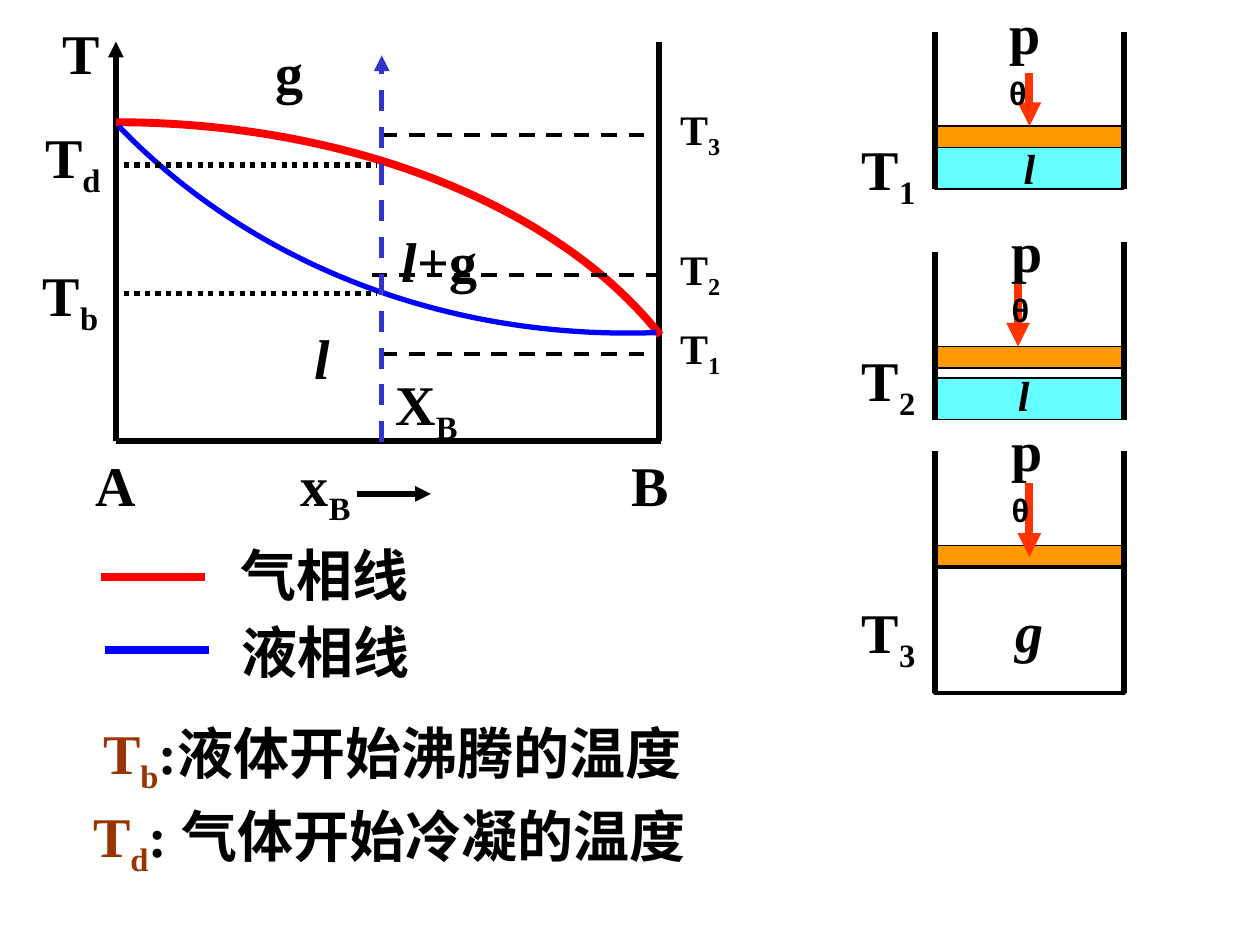
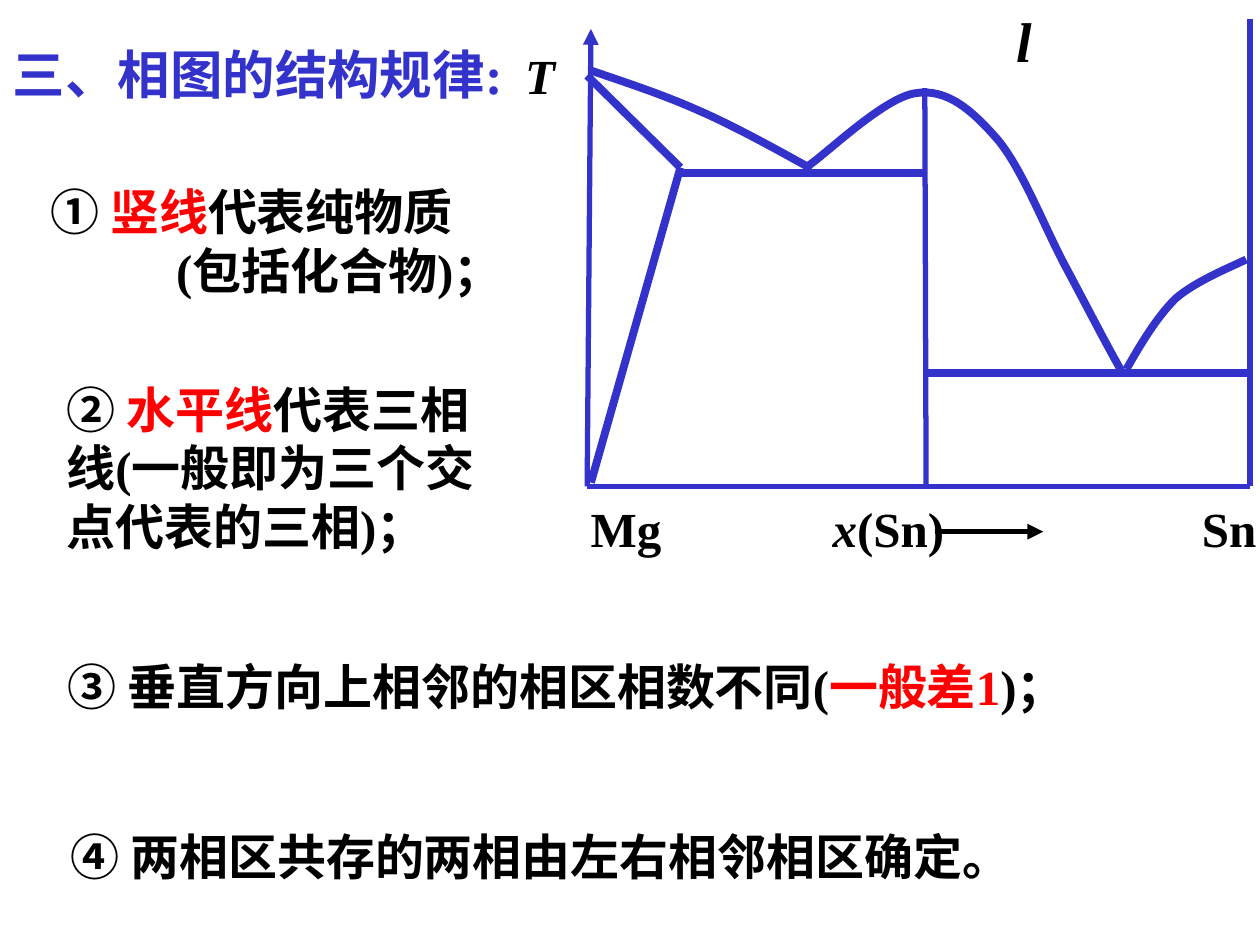
from dataclasses import dataclass
from typing import Any

from lxml.etree import SubElement
from pptx import Presentation
from pptx.dml.color import RGBColor
from pptx.enum.dml import MSO_LINE
from pptx.enum.shapes import MSO_CONNECTOR, MSO_SHAPE
from pptx.enum.text import MSO_ANCHOR, MSO_AUTO_SIZE, PP_ALIGN
from pptx.oxml.ns import qn
from pptx.util import Inches, Pt

BLACK = RGBColor(0x00, 0x00, 0x00)
WHITE = RGBColor(0xFF, 0xFF, 0xFF)
RED = RGBColor(0xFF, 0x00, 0x00)
BLUE = RGBColor(0x00, 0x00, 0xFF)
INDIGO = RGBColor(0x33, 0x33, 0xCC)
BROWN = RGBColor(0x99, 0x33, 0x00)
ORANGE = RGBColor(0xFF, 0x99, 0x00)
CYAN = RGBColor(0x66, 0xFF, 0xFF)
FLAME = RGBColor(0xFF, 0x33, 0x00)
FONT = "Times New Roman"
SHIFT = {"sub": "-25000", "sup": "30000"}


def add_runs(para, runs, size):
    """Each run is (text, style, colour); style is "", "i", "sub" or "sup"."""
    for text, style, color in runs:
        run = para.add_run()
        run.text = text
        font = run.font
        font.name = "Arial" if style == "sup" else FONT
        font.size, font.bold, font.italic = Pt(size), True, style == "i"
        font.color.rgb = color
        if style in SHIFT:
            font._element.set("baseline", SHIFT[style])


def plain(text, style="", color=BLACK):
    return [(text, style, color)]


def index(base, sub, color=BLACK):
    return plain(base, "", color) + plain(sub, "sub", color)


@dataclass
class Box:
    """A region of a slide; its parts are placed from its top left corner."""
    slide: Any
    left: float
    top: float

    def spot(self, x, y):
        return Inches(self.left + x), Inches(self.top + y)

    def line(self, start, end, color=BLACK, width=3, dash=None, arrow=False):
        link = self.slide.shapes.add_connector(
            MSO_CONNECTOR.STRAIGHT, *self.spot(*start), *self.spot(*end))
        link.line.color.rgb, link.line.width = color, Pt(width)
        if dash:
            link.line.dash_style = dash
        props = link.element.spPr
        if arrow:
            SubElement(props.find(qn("a:ln")), qn("a:tailEnd"), type="triangle")
        SubElement(props, qn("a:effectLst"))
        return link

    def curve(self, points, color, width):
        """Joined cubic curves: a start, then three points for each."""
        first, *rest = [self.spot(*point) for point in points]
        maker = self.slide.shapes.build_freeform(*first)
        maker.add_line_segments(rest, close=False)
        shape = maker.convert_to_shape()
        shape.shadow.inherit = False
        shape.fill.background()
        shape.line.color.rgb, shape.line.width = color, Pt(width)

        # Gather each three straight steps into one cubic curve
        route = next(shape.element.iter(qn("a:path")))
        for number, step in enumerate(route.findall(qn("a:lnTo"))):
            if number % 3 == 0:
                cubic = SubElement(route, qn("a:cubicBezTo"))
            cubic.append(step[0])
            route.remove(step)

    def rect(self, x, y, wide, high, fill, edge):
        shape = self.slide.shapes.add_shape(
            MSO_SHAPE.RECTANGLE, *self.spot(x, y), Inches(wide), Inches(high))
        shape.shadow.inherit = False
        shape.fill.solid()
        shape.fill.fore_color.rgb = fill
        shape.line.color.rgb, shape.line.width = BLACK, Pt(edge)
        return shape

    def text(self, x, y, wide, high, *paras, size=32, wrap=False):
        shape = self.slide.shapes.add_textbox(
            *self.spot(x, y), Inches(wide), Inches(high))
        frame = shape.text_frame
        frame.word_wrap = wrap
        frame.auto_size = MSO_AUTO_SIZE.SHAPE_TO_FIT_TEXT
        for number, runs in enumerate(paras):
            para = frame.add_paragraph() if number else frame.paragraphs[0]
            add_runs(para, runs, size)
        return shape


# Slide 1: boiling diagram
def boil_plot(box):
    wide, base = 4.31, 3.17
    box.line((0, base), (wide + 0.02, base))
    box.line((wide, base), (wide, 0))
    box.line((0, base), (0, 0), arrow=True)

    # Gas and liquid curves
    box.curve([(0, 0.64), (1.83, 0.64), (3.5, 1.29), (4.32, 2.33)], RED, 4.5)
    box.curve([(4.29, 2.31), (2.63, 2.37), (1.08, 1.77), (0.02, 0.67)], BLUE, 3)

    # Axis names
    box.text(-0.52, -0.23, 0.49, 0.64, plain("T"))
    for x, high, runs in ((-0.26, 0.64, plain("A")),
                          (1.37, 0.71, index("x", "B")),
                          (3.99, 0.64, plain("B"))):
        box.text(x, 3.2, 0.65, high, runs)
    box.line((1.91, 3.59), (2.5, 3.59), arrow=True)

    # Boiling and dew levels
    for sub, y, x, top in (("b", 2.0, -0.68, 1.69), ("d", 0.98, -0.66, 0.59)):
        box.line((-0.02, y), (2.07, y), dash=MSO_LINE.ROUND_DOT)
        box.text(x, top, 0.66, 0.71, index("T", sub))

    # Phase regions
    box.text(1.48, 2.19, 0.32, 0.64, plain("l", "i"))
    box.text(2.17, 1.42, 0.82, 0.64, plain("l", "i") + plain("+g"))
    box.text(1.17, -0.08, 0.44, 0.64, plain("g"))

    # Temperature levels
    for sub, x, y in (("1", 2.11, 2.48), ("2", 2.03, 1.85), ("3", 2.11, 0.74)):
        box.line((x, y), (4.32, y), width=2.25, dash=MSO_LINE.DASH)
        box.text(4.38, y - 0.3, 0.54, 0.56, index("T", sub), size=24)

    # Heating path
    box.line((2.11, 3.18), (2.11, 0.11), INDIGO, dash=MSO_LINE.DASH, arrow=True)
    box.text(2.12, 2.55, 0.72, 0.71, index("X", "B"))


def vessel(box, sub, layers, walls, arrow, press, mark):
    """The box starts at the top left of the piston."""
    wide, depth = 1.5, 0.17
    piston = box.rect(0, 0, wide, depth, ORANGE, 0.75)
    for high, fill, edge, name, size in layers:
        layer = box.rect(0, depth, wide, high, fill, edge)
        depth += high
        if name:
            frame = layer.text_frame
            frame.word_wrap = False
            frame.vertical_anchor = MSO_ANCHOR.MIDDLE
            frame.paragraphs[0].alignment = PP_ALIGN.CENTER
            add_runs(frame.paragraphs[0], plain(name, "i"), size)
    for x, top in zip((0, wide), walls):
        box.line((x, depth), (x, top))
    x, start, tip = arrow
    force = box.line((x, start), (x, tip), FLAME, 4.5, arrow=True)
    if (x, tip) == (wide / 2, 0):
        force.end_connect(piston, 0)
    box.text(*press, 0.58, 0.64, plain("p") + plain("θ", "sup"), wrap=True)
    box.text(-0.68, mark, 0.68, 0.71, index("T", sub))


def legend(box):
    for name, color, x, y, left, top in (
            ("气相线", RED, 0, 0.34, 1.01, 0),
            ("液相线", BLUE, 0.03, 0.92, 1.02, 0.61)):
        box.line((x, y), (x + 0.83, y), color, 4.5)
        box.text(left, top, 1.65, 0.64, plain(name))


def terms(box):
    for sub, note, x, y, wide in (("b", ":液体开始沸腾的温度", 0.08, 0, 4.9),
                                  ("d", ": 气体开始冷凝的温度", 0, 0.66, 5.01)):
        box.text(x, y, wide, 0.71, index("T", sub, BROWN) + plain(note))


def boil_slide(deck):
    slide = deck.slides.add_slide(deck.slide_layouts[6])
    boil_plot(Box(slide, 0.92, 0.33))
    vessel(Box(slide, 7.42, 1), "1", [(0.33, CYAN, 0.75, "l", 24)],
           (-0.75, -0.75), (0.75, -0.42, 0), (0.49, -1.06), 0.02)
    middle = Box(slide, 7.42, 2.75)
    vessel(middle, "2",
           [(0.08, WHITE, 0.75, "", 0), (0.33, CYAN, 0.75, "", 0)],
           (-0.75, -0.83), (0.66, -0.5, 0), (0.51, -1.08), -0.06)
    middle.text(0.56, 0.13, 0.29, 0.5, plain("l", "i"), size=24)
    vessel(Box(slide, 7.42, 4.33), "3", [(1, WHITE, 2.25, "g", 32)],
           (-0.75, -0.75), (0.75, -0.5, 0.09), (0.51, -1.08), 0.36)
    legend(Box(slide, 0.8, 4.24))
    terms(Box(slide, 0.64, 5.65))


# Slide 2: rules of phase diagrams
def heading(slide, text):
    title = slide.shapes.title
    title.left, title.top = Inches(0), Inches(0.28)
    title.width, title.height = Inches(4.86), Inches(0.6)
    frame = title.text_frame
    frame.word_wrap = True
    frame.auto_size = MSO_AUTO_SIZE.NONE
    frame.vertical_anchor = MSO_ANCHOR.TOP
    frame.paragraphs[0].alignment = PP_ALIGN.LEFT
    add_runs(frame.paragraphs[0], plain(text, "", INDIGO), 30)


def rules(box):
    first = box.text(0, 0, 4.07, 1.04,
                     plain("① ") + plain("竖线", "", RED) + plain("代表纯物质"),
                     plain("(包括化合物)；"), size=28)
    inset = first.text_frame.paragraphs[1]._p.get_or_add_pPr()
    inset.set("marL", str(Inches(1)))
    for x, y, wide, high, runs in (
            (0.13, 1.57, 3.59, 1.5,
             plain("② ") + plain("水平线", "", RED)
             + plain("代表三相线(一般即为三个交点代表的三相)；")),
            (0.14, 3.77, 9.86, 0.57,
             plain("③ 垂直方向上相邻的相区相数不同(")
             + plain("一般差1", "", RED) + plain(")；")),
            (0.16, 5.12, 8.92, 0.57,
             plain("④ 两相区共存的两相由左右相邻相区确定。"))):
        box.text(x, y, wide, high, runs, size=28, wrap=True)


def alloy_plot(box):
    # Frame and compound line
    wide, base = 5.26, 3.71
    for start, end, arrow in (((0, base), (wide, base), False),
                              ((wide, base), (wide, 0), False),
                              ((0, base), (0.03, 0.08), True),
                              ((2.68, 0.55), (2.69, base), False)):
        box.line(start, end, INDIGO, arrow=arrow)

    # Three-phase lines and solid solution edges
    for start, end in (((0.74, 1.22), (2.69, 1.22)),
                       ((2.69, 2.81), (wide, 2.81)),
                       ((0, 0.45), (0.74, 1.18)),
                       ((0.74, 1.18), (0.03, 3.68))):
        box.line(start, end, INDIGO, 4.5)

    # Liquid curves
    for points in (
            [(0.03, 0.41), (0.32, 0.51), (0.6, 0.6), (0.89, 0.73),
             (1.19, 0.86), (1.6, 1.09), (1.78, 1.19)],
            [(1.75, 1.17), (1.89, 1.08), (2.36, 0.62), (2.61, 0.59),
             (2.86, 0.55), (3.06, 0.73), (3.26, 0.96),
             (3.46, 1.2), (3.64, 1.68), (3.81, 1.99),
             (3.97, 2.29), (4.15, 2.64), (4.25, 2.81)],
            [(4.28, 2.78), (4.4, 2.57), (4.52, 2.37), (4.67, 2.22),
             (4.83, 2.08), (5.13, 1.96), (5.23, 1.91)]):
        box.curve(points, INDIGO, 4.5)

    # Names
    for x, room, runs in ((-0.07, 0.8, plain("Mg")),
                          (1.85, 1.15, plain("x", "i") + plain("(Sn)")),
                          (4.78, 0.68, plain("Sn"))):
        box.text(x, 3.76, room, 0.57, runs, size=28)
    box.line((2.76, 4.07), (3.62, 4.07), arrow=True)
    box.text(3.31, -0.15, 0.32, 0.64, plain("l", "i"))
    box.text(-0.59, 0.16, 0.44, 0.57, plain("T", "i"), size=28)


def rule_slide(deck):
    slide = deck.slides.add_slide(deck.slide_layouts[5])
    heading(slide, "三、相图的结构规律:")
    rules(Box(slide, 0.3, 1.39))
    alloy_plot(Box(slide, 4.66, 0.15))


def main():
    deck = Presentation()
    deck.slide_width, deck.slide_height = Inches(10), Inches(7.5)
    boil_slide(deck)
    rule_slide(deck)
    deck.save("out.pptx")


if __name__ == "__main__":
    main()
